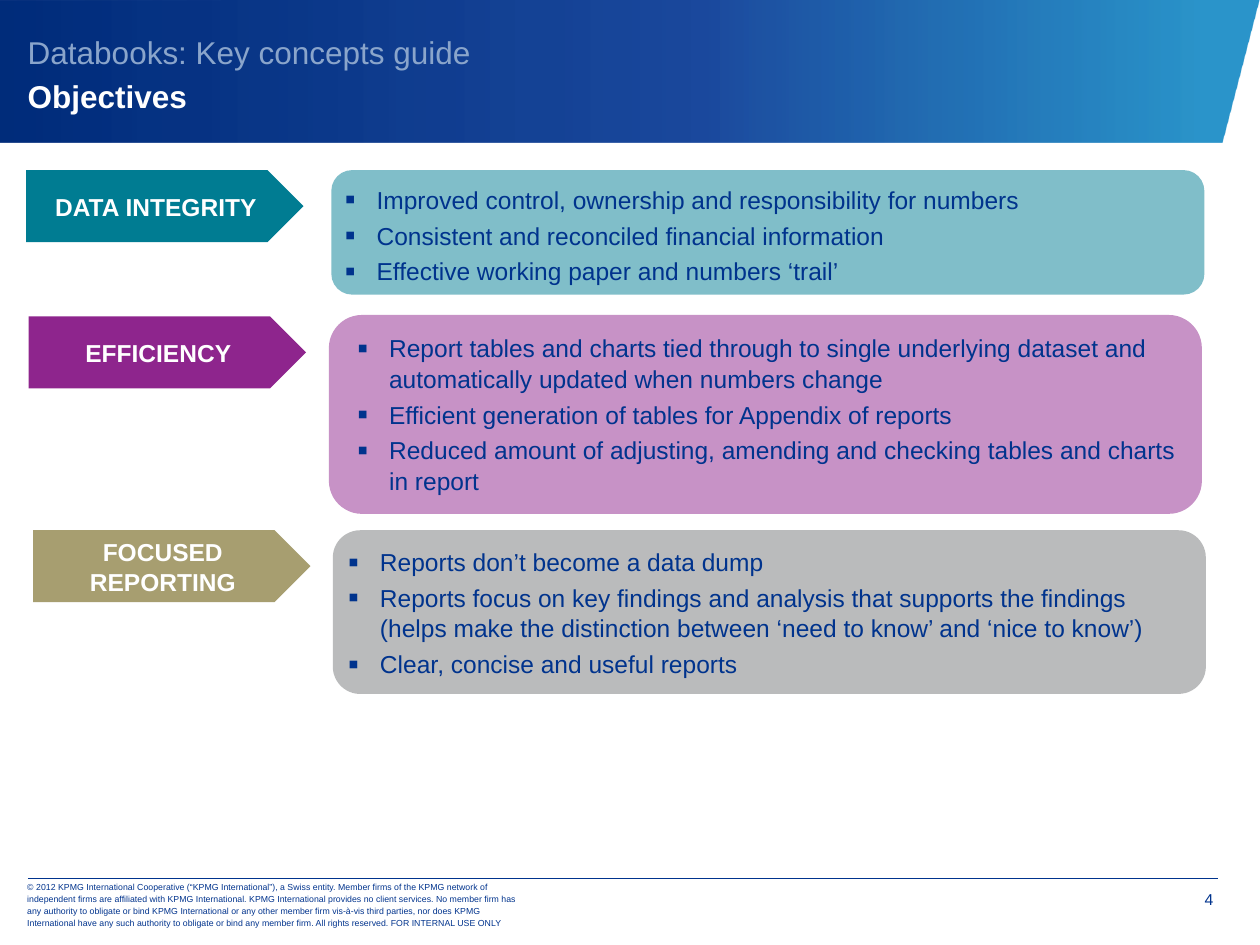
from lxml import etree
from pptx import Presentation
from pptx.dml.color import RGBColor
from pptx.enum.shapes import MSO_CONNECTOR, MSO_SHAPE
from pptx.enum.text import MSO_ANCHOR, PP_ALIGN
from pptx.oxml import parse_xml
from pptx.oxml.ns import nsdecls, qn
from pptx.util import Cm, Pt

ARROW, ROUNDED = MSO_SHAPE.PENTAGON, MSO_SHAPE.ROUNDED_RECTANGLE
STRAIGHT = MSO_CONNECTOR.STRAIGHT
TOP, MIDDLE = MSO_ANCHOR.TOP, MSO_ANCHOR.MIDDLE
LEFT, CENTER, RIGHT = PP_ALIGN.LEFT, PP_ALIGN.CENTER, PP_ALIGN.RIGHT

COLORS = {
    "navy": "00338D", "white": "FFFFFF", "subtitle": "8AA5CB",
    "teal": "007C92", "light teal": "80BEC9",
    "purple": "8E258D", "light purple": "C792C6",
    "olive": "A79E70", "gray": "BABBBC",
}


def add_run(p, text, size, color, bold=False):
    r = p.add_run()
    r.text = text
    r.font.name = "Arial"
    r.font.size = Pt(size)
    r.font.bold = bold
    r.font.color.rgb = RGBColor.from_string(COLORS[color])


def set_frame(sp, anchor, left, top, right, bottom):
    tf = sp.text_frame
    tf.word_wrap = True
    tf.vertical_anchor = anchor
    tf.margin_left, tf.margin_top = Cm(left), Cm(top)
    tf.margin_right, tf.margin_bottom = Cm(right), Cm(bottom)
    return tf


prs = Presentation()
prs.slide_width, prs.slide_height = Cm(25.4), Cm(19.05)
s = prs.slides.add_slide(prs.slide_layouts[6])

# Header band with a three-stop gradient
builder = s.shapes.build_freeform(Cm(-0.03), Cm(2.87))
builder.add_line_segments(
    [(Cm(24.64), Cm(2.87)), (Cm(25.4), Cm(-0.03)), (Cm(-0.03), Cm(0))])
band = builder.convert_to_shape()
band.shadow.inherit = False
band.line.fill.background()
stops = "".join(
    f'<a:gs pos="{pos}000"><a:srgbClr val="{color}"><a:alpha val="{alpha}000"/></a:srgbClr></a:gs>'
    for pos, color, alpha in [(0, "002C7A", 100), (56, "003492", 89), (96, "0080C0", 83)])
band.fill.background()
no_fill = band._element.spPr.find(qn("a:noFill"))
no_fill.getparent().replace(no_fill, parse_xml(
    f'<a:gradFill {nsdecls("a")}><a:gsLst>{stops}</a:gsLst><a:lin ang="0" scaled="0"/></a:gradFill>'))

# Title
sp = s.shapes.add_textbox(Cm(0.56), Cm(0.33), Cm(23.75), Cm(2.21))
p = set_frame(sp, MIDDLE, 0, 0, 0, 0).paragraphs[0]
p.line_spacing = Pt(25)
add_run(p, "Databooks: Key concepts guide", 18, "subtitle")
p.add_line_break()
add_run(p, "Objectives", 18, "white", True)

# Objectives: label, (left, top, color) of the arrow,
# (left, top, height, color, left margin) of the panel, bullets
objectives = [
    ("DATA INTEGRITY", (0.53, 3.43, "teal"), (6.68, 3.43, 2.51, "light teal", 0.15), [
        "Improved control, ownership and responsibility for numbers",
        "Consistent and reconciled financial information",
        "Effective working paper and numbers ‘trail’"]),
    ("EFFICIENCY", (0.58, 6.38, "purple"), (6.63, 6.35, 4.01, "light purple", 0.38), [
        "Report tables and charts tied through to single underlying dataset and "
        "automatically updated when numbers change",
        "Efficient generation of tables for Appendix of reports",
        "Reduced amount of adjusting, amending and checking tables and charts in report"]),
    ("FOCUSED REPORTING", (0.67, 10.69, "olive"), (6.71, 10.69, 3.3, "gray", 0.15), [
        "Reports don’t become a data dump",
        "Reports focus on key findings and analysis that supports the findings "
        "(helps make the distinction between ‘need to know’ and ‘nice to know’)",
        "Clear, concise and useful reports"]),
]
for label, (ax, ay, acolor), (px, py, ph, pcolor, margin), bullets in objectives:
    arrow = s.shapes.add_shape(ARROW, Cm(ax), Cm(ay), Cm(5.59), Cm(1.45))
    panel = s.shapes.add_shape(ROUNDED, Cm(px), Cm(py), Cm(17.6), Cm(ph))
    for sp, color in ((arrow, acolor), (panel, pcolor)):
        sp.shadow.inherit = False
        sp.fill.solid()
        sp.fill.fore_color.rgb = RGBColor.from_string(COLORS[color])
        sp.line.fill.background()

    p = set_frame(arrow, MIDDLE, 0.15, 0.15, 0.15, 0.15).paragraphs[0]
    p.alignment = CENTER
    p.line_spacing = 1.04
    add_run(p, label, 14, "white", True)

    tf = set_frame(panel, TOP, margin, 0.15, 0.15, 0.15)
    for i, text in enumerate(bullets):
        p = tf.add_paragraph() if i else tf.paragraphs[0]
        p.alignment = LEFT
        p.line_spacing = 1.04
        p.space_before = Pt(3 if i else 0)
        pPr = p._p.get_or_add_pPr()
        pPr.set("marL", str(Cm(0.64)))
        pPr.set("indent", str(Cm(-0.64)))
        color = etree.SubElement(pPr, qn("a:buClr"))
        etree.SubElement(color, qn("a:srgbClr"), val=COLORS["navy"])
        etree.SubElement(pPr, qn("a:buSzPct"), val="125000")
        etree.SubElement(pPr, qn("a:buFont"), typeface="Arial")
        etree.SubElement(pPr, qn("a:buChar"), char="▪")
        add_run(p, text, 14, "navy")

# Footer rule
rule = s.shapes.add_connector(STRAIGHT, Cm(0.56), Cm(17.7), Cm(24.56), Cm(17.7))
rule.line.color.rgb = RGBColor.from_string(COLORS["navy"])
rule.line.width = Pt(0.25)
etree.SubElement(rule._element.spPr, qn("a:effectLst"))

# Copyright line
sp = s.shapes.add_textbox(Cm(0.3), Cm(17.78), Cm(10.54), Cm(0.89))
p = set_frame(sp, MIDDLE, 0.25, 0.13, 0.25, 0.13).paragraphs[0]
p.line_spacing = Pt(7)
add_run(p, "© 2012 KPMG International Cooperative (“KPMG International”), a Swiss entity. "
        "Member firms of the KPMG network of independent firms are affiliated with KPMG "
        "International. KPMG International provides no client services. No member firm has "
        "any authority to obligate or bind KPMG International or any other member firm "
        "vis-à-vis third parties, nor does KPMG International have any such authority to "
        "obligate or bind any member firm. All rights reserved. FOR INTERNAL USE ONLY",
        5, "navy")

# Page number
sp = s.shapes.add_textbox(Cm(23.06), Cm(17.73), Cm(1.4), Cm(0.79))
p = set_frame(sp, TOP, 0.2, 0.2, 0, 0).paragraphs[0]
p.alignment = RIGHT
add_run(p, "4", 9, "navy")

prs.save("out.pptx")
